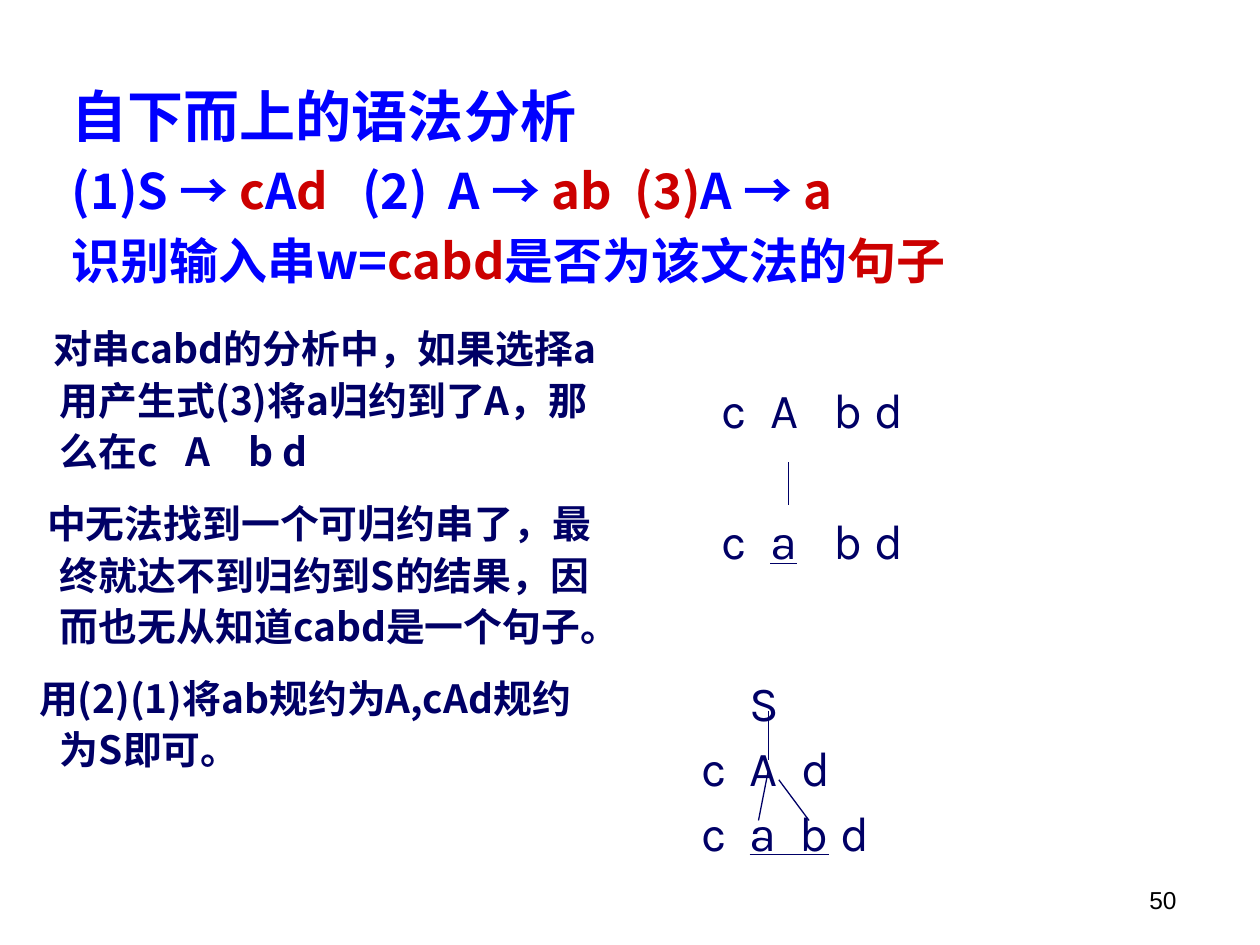
from lxml.etree import SubElement
from pptx import Presentation
from pptx.dml.color import RGBColor
from pptx.enum.shapes import MSO_CONNECTOR
from pptx.enum.text import MSO_ANCHOR, PP_ALIGN
from pptx.oxml.ns import qn
from pptx.util import Cm, Pt

BLACK = RGBColor(0x00, 0x00, 0x00)
BLUE = RGBColor(0x00, 0x00, 0xFF)
RED = RGBColor(0xCC, 0x00, 0x00)
NAVY = RGBColor(0x00, 0x00, 0x66)
CJK = "Noto Sans CJK SC"
LATIN = "Karla"


def add_box(page, left, top, width, height):
    box = page.shapes.add_textbox(Cm(left), Cm(top), Cm(width), Cm(height))
    frame = box.text_frame
    frame.word_wrap = True
    frame.margin_left = frame.margin_right = 0
    frame.margin_top = frame.margin_bottom = 0
    return frame


def add_para(frame, spans, font, size, spacing, before=0, stops=(), bold=False):
    para = frame.paragraphs[0]
    if para.runs:
        para = frame.add_paragraph()
        para.space_before = Pt(before)
    para.line_spacing = spacing
    if stops:
        tabs = SubElement(para._p.get_or_add_pPr(), qn("a:tabLst"))
        for stop in stops:
            SubElement(tabs, qn("a:tab"), pos=str(Cm(stop)), algn="l")
    for text, color, underline in spans:
        span = para.add_run()
        span.text = text
        span.font.name = font
        span.font.size = Pt(size)
        span.font.bold = bold
        span.font.underline = underline
        span.font.color.rgb = color
        SubElement(span.font._element, qn("a:ea"), typeface=font)
    return para


deck = Presentation()
deck.slide_width = Cm(25.4)
deck.slide_height = Cm(19.05)
page = deck.slides.add_slide(deck.slide_layouts[6])

number = add_box(page, 18.95, 17.3, 4.77, 1.14)
number.vertical_anchor = MSO_ANCHOR.BOTTOM
para = add_para(number, [("50", BLACK, False)], "Arial", 14, 1)
para.alignment = PP_ALIGN.RIGHT

title_lines = [
    (32, 1, [("自下而上的语法分析", BLUE)]),
    (28, 1.2, [("(1)S → ", BLUE), ("c", RED), ("A", BLUE), ("d", RED),
               ("\t(2)\tA → ", BLUE), ("ab\t(3)", RED), ("A → ", BLUE), ("a", RED)]),
    (28, 1.2, [("识别输入串w=", BLUE), ("cabd", RED),
               ("是否为该文法的", BLUE), ("句子", RED)]),
]
title = add_box(page, 1.45, 1.64, 21.4, 4.6)
for size, spacing, parts in title_lines:
    spans = [(text, color, False) for text, color in parts]
    add_para(title, spans, CJK, size, spacing, stops=(5.85, 7.6, 11.35), bold=True)

explanation = [
    (-0.14, "对串cabd的分析中，如果选择a用产生式(3)将a归约到了A，那么在c\tA\tb d"),
    (-0.26, "中无法找到一个可归约串了，最终就达不到归约到S的结果，因而也无从知道cabd是一个句子。"),
    (-0.42, "用(2)(1)将ab规约为A,cAd规约为S即可。"),
]
body = add_box(page, 0.76, 6.46, 11.33, 10.5)
for indent, text in explanation:
    para = add_para(body, [(text, NAVY, False)], CJK, 22.2, 1.1, 12, (4.88, 5.66), True)
    properties = para._p.get_or_add_pPr()
    properties.set("marL", str(Cm(0.45)))
    properties.set("indent", str(Cm(indent)))

trees = [
    (14.55, 7.78, 45, (0.98, 2.26), [
        [("c\tA\tb d", False)],
        [("c\t", False), ("a", True), ("\tb d", False)],
    ]),
    (14.14, 13.69, 6.9, (0.97, 2.01), [
        [("\tS", False)],
        [("c\tA\td", False)],
        [("c\t", False), ("a  b", True), (" d", False)],
    ]),
]
for left, top, gap, stops, rows in trees:
    tree = add_box(page, left, top, 8.5, 3.9)
    for row in rows:
        spans = [(text, NAVY, underline) for text, underline in row]
        add_para(tree, spans, LATIN, 28, 0.9, gap, stops)

branches = [
    (15.9, 9.32, 15.9, 10.19),
    (15.49, 15.52, 15.29, 16.54),
    (15.7, 15.72, 16.31, 16.54),
    (15.49, 14.33, 15.49, 15.32),
]
for ends in branches:
    branch = page.shapes.add_connector(MSO_CONNECTOR.STRAIGHT, *map(Cm, ends))
    branch.line.color.rgb = NAVY
    branch.line.width = Pt(0.75)
    SubElement(branch._element.spPr, qn("a:effectLst"))

deck.save("out.pptx")
